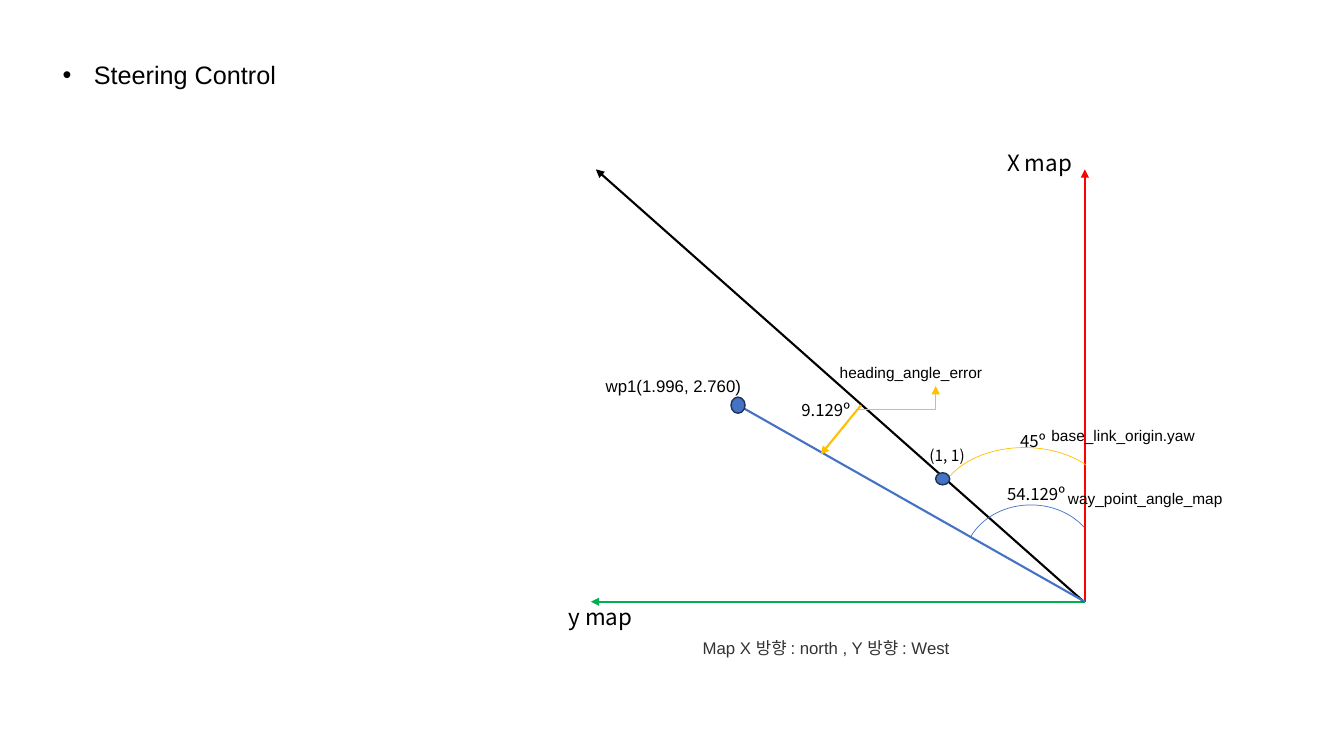
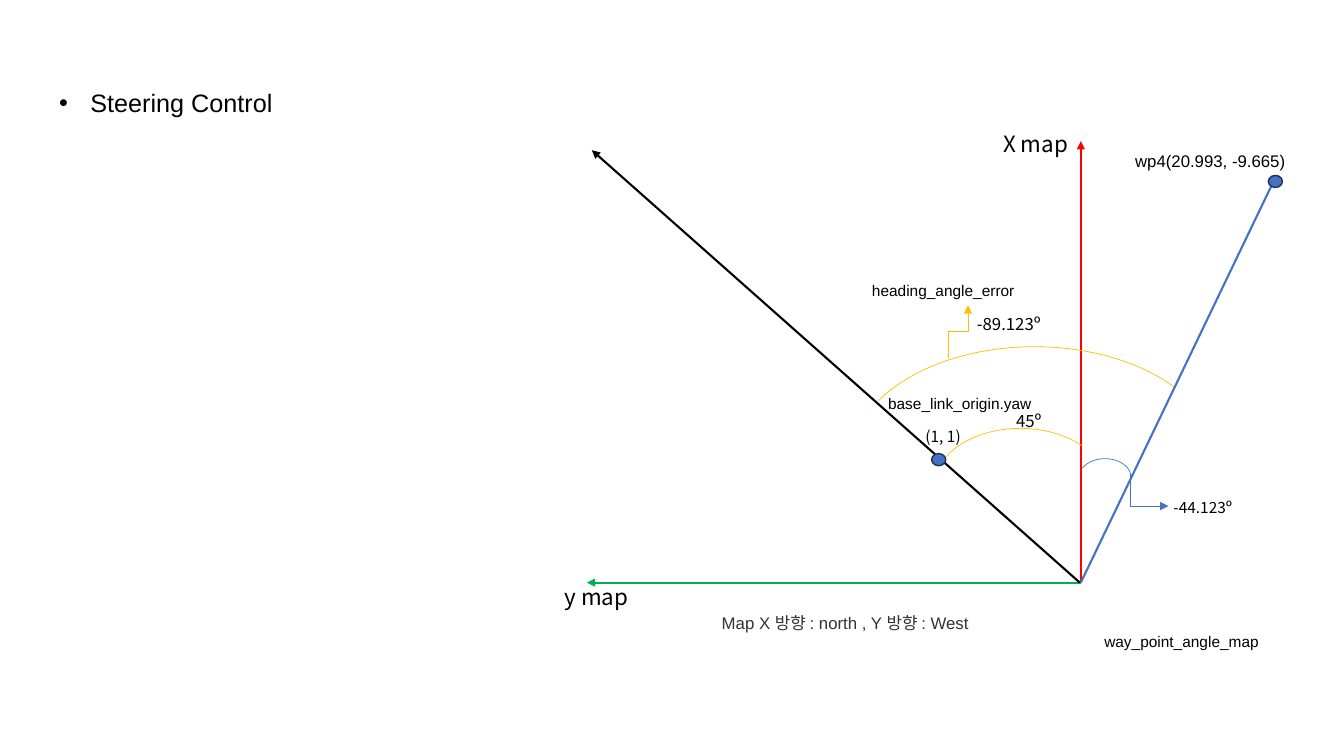
from dataclasses import dataclass
from typing import Any

from lxml import etree
from pptx import Presentation
from pptx.dml.color import RGBColor
from pptx.enum.shapes import MSO_CONNECTOR, MSO_SHAPE
from pptx.enum.text import MSO_ANCHOR, MSO_AUTO_SIZE, PP_ALIGN
from pptx.oxml.ns import qn
from pptx.util import Emu, Inches, Pt

ARC, DOT = MSO_SHAPE.ARC, MSO_SHAPE.OVAL
LINE, ELBOW = MSO_CONNECTOR.STRAIGHT, MSO_CONNECTOR.ELBOW
LEFT, CENTER = PP_ALIGN.LEFT, PP_ALIGN.CENTER
MIDDLE, FIXED = MSO_ANCHOR.MIDDLE, MSO_AUTO_SIZE.NONE
LATIN, KOREAN = "Arial", "Noto Sans CJK KR"
COLORS = {
    "black": "000000", "gray": "333333", "red": "FF0000", "green": "00B050",
    "blue": "4472C4", "navy": "1E3256", "gold": "FFC000",
}
CELL = Inches(1)  # the grid has square cells; rows count downwards
HEIGHTS = {11: 0.29, 12: 0.3, 16: 0.37}  # label rows by text size
QUARTER = "5400000"


def cells(*counts):
    return [Emu(round(n * CELL)) for n in counts]


def hue(name):
    return RGBColor.from_string(COLORS[name])


def style(para, size, font, color, align):
    para.alignment = align
    for run in para.runs:
        run.font.size, run.font.name = Pt(size), font
        run.font.color.rgb = hue(color)


def title(slide, col, row, wide):
    head = slide.shapes.title
    head.left, head.top, head.width, head.height = cells(col, row, wide, 0.4)
    frame = head.text_frame
    frame.text = "Steering Control"
    frame.auto_size, frame.vertical_anchor = FIXED, MIDDLE
    para = frame.paragraphs[0]
    style(para, 18, LATIN, "black", CENTER)
    props = para._p.get_or_add_pPr()
    indent = cells(0.31)[0]
    props.set("marL", str(indent))
    props.set("indent", str(-indent))
    etree.SubElement(props, qn("a:buFont")).set("typeface", LATIN)
    etree.SubElement(props, qn("a:buChar")).set("char", "•")


@dataclass
class Map:
    """Draws on a slide, with places counted in cells from the map's origin."""
    slide: Any
    col: float
    row: float

    def place(self, spot):
        return cells(self.col + spot[0], self.row + spot[1])

    def label(self, text, spot, wide, size=11, font=LATIN, color="black",
              align=LEFT):
        box = self.slide.shapes.add_textbox(
            *self.place(spot), *cells(wide, HEIGHTS[size]))
        frame = box.text_frame
        frame.word_wrap = True
        frame.text = text
        style(frame.paragraphs[0], size, font, color, align)

    def angle(self, text, spot, wide=0.93, size=12):
        self.label(text, spot, wide, size, KOREAN)

    def link(self, kind, start, end, color, width):
        wire = self.slide.shapes.add_connector(
            kind, *self.place(start), *self.place(end))
        wire.line.color.rgb, wire.line.width = hue(color), Pt(width)
        line = wire.line._get_or_add_ln()
        etree.SubElement(line, qn("a:tailEnd")).set("type", "triangle")
        etree.SubElement(wire._element.spPr, qn("a:effectLst"))
        return wire

    def arrow(self, end, color, start=(0, 0)):
        self.link(LINE, start, end, color, 1.5)

    def bend(self, start, end, color, turns=1, upright=False):
        """Elbow arrow; an upright one leaves its start vertically."""
        if upright:
            midx, midy = (start[0] + end[0]) / 2, (start[1] + end[1]) / 2
            dx, dy = (end[0] - start[0]) / 2, (end[1] - start[1]) / 2
            start, end = (midx - dy, midy + dx), (midx + dy, midy - dx)
        wire = self.link(ELBOW, start, end, color, 0.5)
        props = wire._element.spPr
        props.find(qn("a:prstGeom")).set("prst", f"bentConnector{turns + 1}")
        if upright:
            props.find(qn("a:xfrm")).set("rot", QUARTER)

    def shape(self, kind, spot, size, color, width):
        item = self.slide.shapes.add_shape(
            kind, *self.place(spot), *cells(*size))
        item.shadow.inherit = False
        item.line.color.rgb, item.line.width = hue(color), Pt(width)
        return item

    def dot(self, spot, high=0.12):
        item = self.shape(DOT, spot, (0.14, high), "navy", 1)
        item.fill.solid()
        item.fill.fore_color.rgb = hue("blue")

    def arc(self, spot, size, color, first, last):
        """Arc between two angles in degrees, clockwise from the right."""
        item = self.shape(ARC, spot, size, color, 0.5)
        item.fill.background()
        for i, turn in enumerate((first, last)):
            item.adjustments[i] = turn * 0.6

    def base(self, top):
        """Axes, heading and yaw, which every map shows."""
        self.arrow((0, top), "red")
        self.label("X map", (-0.87, -4.54), 1.07, 16, KOREAN)
        self.arrow((-4.9, 0), "green")
        self.label("y map", (-5.22, -0.04), 1.16, 16, KOREAN)
        self.arrow((-4.85, -4.29), "black", (-0.01, 0))
        self.arc((-1.45, -1.53), (1.7, 1.13), "gold", 201.32, 327.05)
        self.angle("45º", (-0.74, -1.75), 0.8)
        self.angle("(1, 1)", (-1.64, -1.59), 1.08, 11)

    def names(self, note, error, yaw, way):
        """Caption and variable names, each at its own place."""
        self.label("Map X 방향 : north , Y 방향 : West", note, 2.98, 12,
                   color="gray")
        self.label("heading_angle_error", error, 2.11)
        self.label("base_link_origin.yaw", yaw, 2.07)
        self.label("way_point_angle_map", way, 2, align=CENTER)

    def target(self, text, spot, end, dot, high=0.12):
        """Way point with its line, and the vehicle's own dot."""
        self.label(text, spot, 1.7, 12)
        self.arrow(end, "blue")
        self.dot(dot, high)
        self.dot((-1.48, -1.28))


def left_turn(slide):
    title(slide, 0.33, 0.54, 2.7)
    plan = Map(slide, 10.76, 5.97)
    plan.base(-4.29)
    plan.target("wp1(1.996, 2.760)", (-4.85, -2.29), (-3.49, -1.98),
                (-3.51, -2.03), 0.16)
    plan.arc((-1.2, -0.96), (1.33, 1.13), "blue", 203.07, 327.05)
    plan.angle("54.129º", (-0.87, -1.22))
    plan.arrow((-2.62, -1.46), "gold", (-2.22, -1.95))
    plan.angle("9.129º", (-2.91, -2.05))
    plan.bend((-2.27, -1.91), (-1.48, -2.14), "gold")
    plan.names((-3.89, 0.31), (-2.53, -2.42), (-0.43, -1.79), (-0.4, -1.17))


def right_turn(slide):
    title(slide, 0.13, 0.82, 3.03)
    plan = Map(slide, 10.72, 5.78)
    plan.base(-4.38)
    plan.target("wp4(20.993, -9.665)", (0.44, -4.33), (1.93, -4.02),
                (1.86, -4.04))
    plan.arc((-0.02, -1.23), (0.52, 0.38), "blue", 203.07, 354.52)
    plan.bend((0.49, -1.08), (0.87, -0.76), "blue", upright=True)
    plan.angle("-44.123º", (0.82, -0.89), 1.11, 11)
    plan.arc((-2.29, -2.34), (3.66, 2.3), "gold", 201.32, 331.39)
    plan.bend((-1.31, -2.23), (-1.12, -2.75), "gold", 2, upright=True)
    plan.angle("-89.123º", (-1.13, -2.72))
    plan.names((-3.66, 0.25), (-2.17, -3.04), (-2.01, -1.92), (0, 0.44))


def main():
    deck = Presentation()
    deck.slide_width, deck.slide_height = cells(13.33, 7.5)
    for draw in (left_turn, right_turn):
        draw(deck.slides.add_slide(deck.slide_layouts[5]))
    deck.save("out.pptx")


if __name__ == "__main__":
    main()
